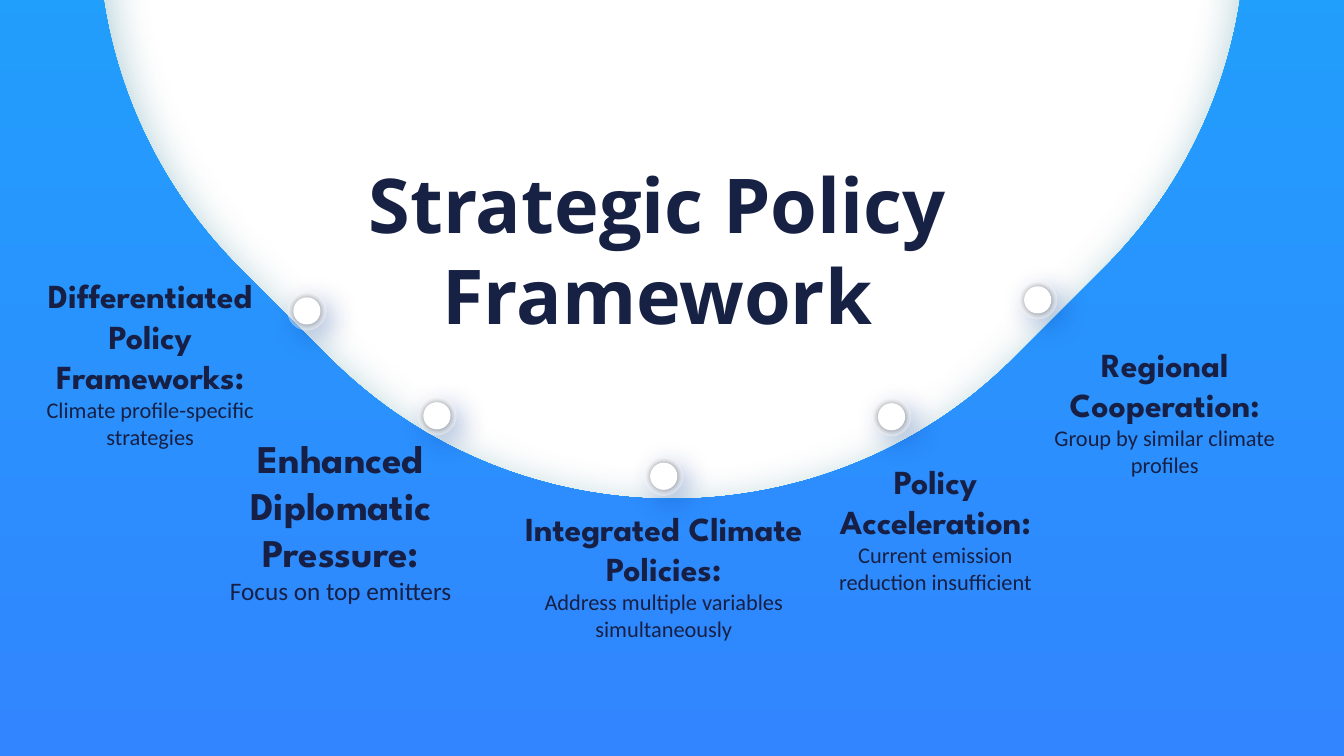
from math import cos, sin, radians
from lxml import etree
from pptx import Presentation
from pptx.dml.color import RGBColor
from pptx.enum.shapes import MSO_SHAPE
from pptx.enum.text import MSO_ANCHOR, MSO_AUTO_SIZE, PP_ALIGN
from pptx.oxml.ns import qn
from pptx.util import Inches, Pt

CELL = Inches(0.1)
COLS, ROWS = 133.33, 75

WHITE = RGBColor(0xFF, 0xFF, 0xFF)
NAVY = RGBColor(0x17, 0x20, 0x44)
INK = RGBColor(0x17, 0x21, 0x44)
CYAN = RGBColor(0x08, 0xC6, 0xF9)
BLUE = RGBColor(0x37, 0x7D, 0xFF)
TEAL = RGBColor(0x03, 0x64, 0x7D)
DEEP = RGBColor(0x00, 0x36, 0x9B)
BLACK = RGBColor(0x00, 0x00, 0x00)

# Box (column, row, columns, rows), head, detail, head size, detail size
LABELS = [
    ((0.2, 26.8, 29.4, 19.2), "Differentiated Policy Frameworks:",
     "Climate profile-specific strategies", 24, 16),
    ((100.1, 33.6, 30.9, 14.5), "Regional Cooperation:",
     "Group by similar climate profiles", 24, 16),
    ((19.1, 42.6, 29.4, 18.2), "Enhanced Diplomatic Pressure:",
     "Focus on top emitters", 28, 18),
    ((80.6, 45.2, 24.4, 14.5), "Policy Acceleration:",
     "Current emission reduction insufficient", 24, 16),
    ((50.4, 49.9, 30.9, 14.5), "Integrated Climate Policies:",
     "Address multiple variables simultaneously", 24, 16),
]
BEADS = [(28.5, 28.9), (101, 27.8), (41.4, 39.3), (86.5, 39.4), (63.9, 45.3)]
HALO, DOT = 3.9, 2.7
KAPPA = 0.55  # handle length of a quarter circle, as a share of its radius


def grid(*cells):
    return [round(cell * CELL) for cell in cells]


def shade(shape, color, alpha, blur, dist, angle):
    """Give the shape an outer shadow and no outline."""
    shape.line.fill.background()
    shape.shadow.inherit = False
    effects = shape._element.spPr.find(qn("a:effectLst"))
    outer = etree.SubElement(
        effects, qn("a:outerShdw"), blurRad=str(Pt(blur)), dist=str(Pt(dist)),
        dir=str(angle * 60000), algn="ctr", rotWithShape="0")
    tint = etree.SubElement(outer, qn("a:srgbClr"), val=str(color))
    etree.SubElement(tint, qn("a:alpha"), val=str(alpha * 1000))


def quarter(x, y, radius, start):
    """Return the four Bézier points of a quarter circle."""
    ax, ay = radius * cos(radians(start)), radius * sin(radians(start))
    steps = [(1, 0), (1, KAPPA), (KAPPA, 1), (0, 1)]
    return [grid(x + p * ax - q * ay, y + p * ay + q * ax) for p, q in steps]


def outline(arcs):
    """Chain quarter circles by straight sides, three points a curve."""
    points = [arcs[0][0]]
    for curve, after in zip(arcs, arcs[1:] + arcs[:1]):
        points += curve[1:]
        if curve[3] != after[0]:
            points += [curve[3], after[0], after[0]]
    return points


def bend(shape):
    """Turn each three line segments of the outline into one curve."""
    track = next(shape._element.iter(qn("a:path")))
    lines = track.findall(qn("a:lnTo"))
    for first, *rest in zip(lines[::3], lines[1::3], lines[2::3]):
        curve = etree.Element(qn("a:cubicBezTo"))
        track.replace(first, curve)
        for line in (first, *rest):
            curve.append(line[0])
        for line in rest:
            track.remove(line)


def add_ring(slide, box):
    """Draw a disc with a hole shaped as a rounded diamond."""
    left, top, width, height = box
    x, y = left + width / 2, top + height / 2
    shift, round_by = width * 0.042, width * 0.225
    turns = range(0, 360, 90)
    rim = outline([quarter(x, y, width / 2, turn) for turn in turns])
    hole = outline([quarter(x + shift * cos(radians(turn)),
                            y + shift * sin(radians(turn)),
                            round_by, turn - 45) for turn in turns])[::-1]
    form = slide.shapes.build_freeform(*rim[0], scale=1.0)
    form.add_line_segments(rim[1:], close=True)
    form.move_to(*hole[0])
    form.add_line_segments(hole[1:], close=True)
    ring = form.convert_to_shape()
    bend(ring)
    ring.fill.gradient()
    ring.fill.gradient_angle = 270
    for stop, color in zip(ring.fill.gradient_stops, (CYAN, BLUE)):
        stop.color.rgb = color
    shade(ring, TEAL, 40, 34, 11, 81)


def add_disc(group, box):
    disc = group.shapes.add_shape(MSO_SHAPE.OVAL, *grid(*box))
    disc.fill.solid()
    disc.fill.fore_color.rgb = WHITE
    return disc


def add_bead(slide, box):
    """Place a white dot in the middle of a glassy halo."""
    left, top, size = box
    group = slide.shapes.add_group_shape()
    halo = add_disc(group, (left, top, size, size))
    tint = halo._element.spPr.find(qn("a:solidFill"))[0]
    etree.SubElement(tint, qn("a:alpha"), val="42000")
    shade(halo, DEEP, 62, 19, 8, 45)
    inset = (size - DOT) / 2
    dot = add_disc(group, (left + inset, top + inset, DOT, DOT))
    shade(dot, BLACK, 40, 5, 0, 0)


def add_text(slide, box, lines, anchor=MSO_ANCHOR.TOP):
    """Write centred lines, each a (text, size, face, bold, color)."""
    frame = slide.shapes.add_textbox(*grid(*box)).text_frame
    frame.word_wrap = True
    frame.auto_size = MSO_AUTO_SIZE.SHAPE_TO_FIT_TEXT
    frame.vertical_anchor = anchor
    frame.text = "\n".join(line[0] for line in lines)
    for para, (_, size, face, bold, color) in zip(frame.paragraphs, lines):
        para.alignment = PP_ALIGN.CENTER
        font = para.runs[0].font
        font.size, font.name, font.bold = Pt(size), face, bold
        font.color.rgb = color


def add_label(slide, box, head, detail, big, small):
    add_text(slide, box, [(head, big, "League Spartan", True, NAVY),
                          (detail, small, "Calibri", False, NAVY)])


def main():
    deck = Presentation()
    deck.slide_width, deck.slide_height = grid(COLS, ROWS)
    slide = deck.slides.add_slide(deck.slide_layouts[6])
    slide.background.fill.solid()
    slide.background.fill.fore_color.rgb = WHITE
    add_text(slide, (33, 15.1, 64.4, 19.2),
             [("Strategic Policy Framework", 54, "Open Sans", True, INK)],
             MSO_ANCHOR.MIDDLE)
    add_ring(slide, (-40.1, -114.2, 213.5, 213.5))
    for (left, top), label in zip(BEADS, LABELS):
        add_bead(slide, (left, top, HALO))
        add_label(slide, *label)
    deck.save("out.pptx")


if __name__ == "__main__":
    main()
